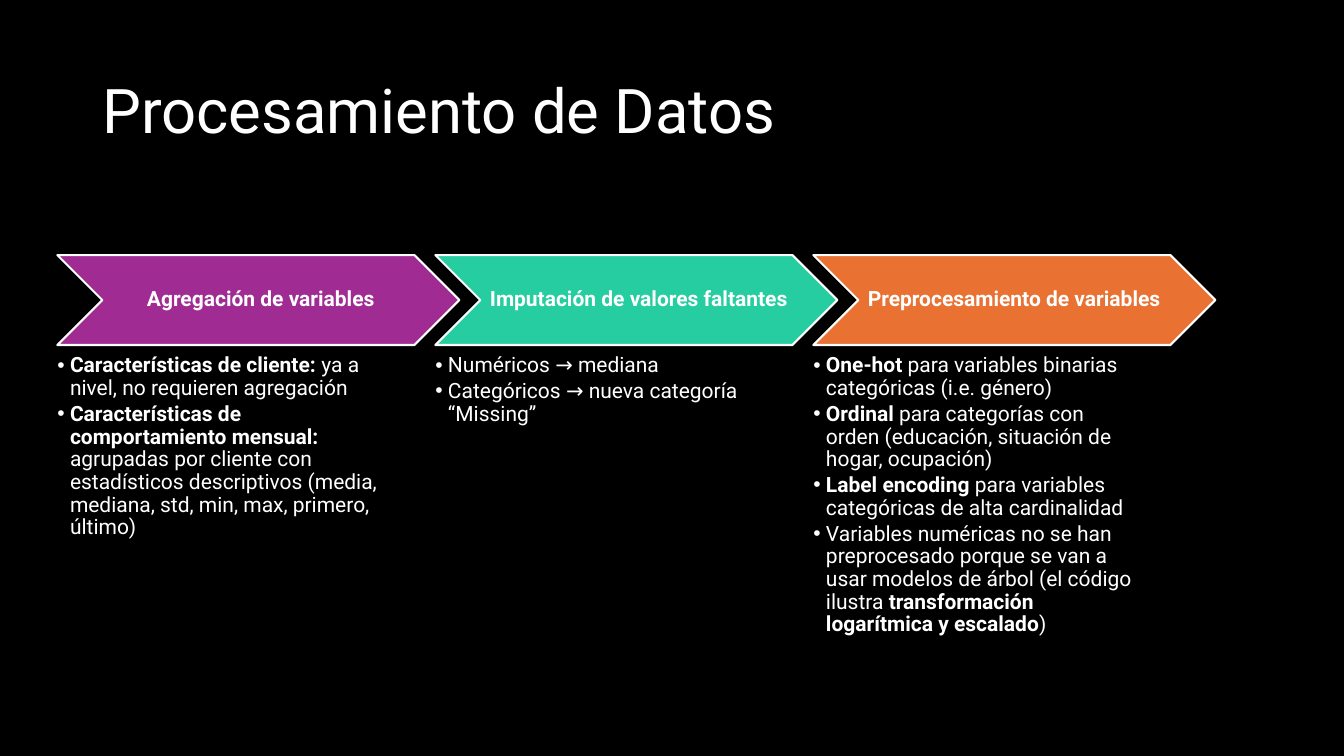
from dataclasses import dataclass

from lxml.etree import SubElement
from pptx import Presentation
from pptx.dml.color import RGBColor
from pptx.enum.shapes import MSO_SHAPE
from pptx.enum.text import MSO_ANCHOR, MSO_AUTO_SIZE, PP_ALIGN
from pptx.oxml.ns import qn
from pptx.util import Pt

BLACK = RGBColor(0x00, 0x00, 0x00)
WHITE = RGBColor(0xFF, 0xFF, 0xFF)
PURPLE = RGBColor(0xA0, 0x2B, 0x93)
GREEN = RGBColor(0x26, 0xCD, 0xA0)
ORANGE = RGBColor(0xE9, 0x71, 0x32)

FONT = "Roboto"
TEXT_SIZE = 15
COMPARISON_LAYOUT = 4
FIRST_LEFT, STEP_PITCH = 41, 270
CHEVRON_TOP, CHEVRON_WIDTH, CHEVRON_HEIGHT = 182.2, 287.2, 64.2
LIST_TOP, LIST_WIDTH, LIST_HEIGHT = 253.4, 229.8, 207.4
BULLET_INDENT = 9


@dataclass(frozen=True)
class Span:
    text: str
    bold: bool = False


@dataclass(frozen=True)
class Step:
    heading: str
    color: RGBColor
    items: list[list[Span]]


STEPS = [
    Step("Agregación de variables", PURPLE, [
        [Span("Características de cliente:", True),
         Span(" ya a nivel, no requieren agregación")],
        [Span("Características de comportamiento mensual:", True),
         Span(" agrupadas por cliente con estadísticos descriptivos "
              "(media, mediana, std, min, max, primero, último)")],
    ]),
    Step("Imputación de valores faltantes", GREEN, [
        [Span("Numéricos → mediana")],
        [Span("Categóricos → nueva categoría “Missing”")],
    ]),
    Step("Preprocesamiento de variables ", ORANGE, [
        [Span("One-hot ", True),
         Span("para variables binarias categóricas (i.e. género)")],
        [Span("Ordinal ", True),
         Span("para categorías con orden (educación, situación de hogar, ocupación)")],
        [Span("Label encoding ", True),
         Span("para variables categóricas de alta cardinalidad")],
        [Span("Variables numéricas no se han preprocesado porque se van a usar "
              "modelos de árbol (el código ilustra "),
         Span("transformación logarítmica y escalado", True),
         Span(")")],
    ]),
]


def place(shape, left: float, top: float, width: float, height: float) -> None:
    shape.left, shape.top = Pt(left), Pt(top)
    shape.width, shape.height = Pt(width), Pt(height)


def set_frame(frame, anchor: MSO_ANCHOR, margins: tuple[float, float, float, float]) -> None:
    """Set anchor and margins (left, top, right, bottom), with wrapping and a fixed size."""
    frame.word_wrap = True
    frame.auto_size = MSO_AUTO_SIZE.NONE
    frame.vertical_anchor = anchor
    (frame.margin_left, frame.margin_top,
     frame.margin_right, frame.margin_bottom) = map(Pt, margins)


def write(para, spans: list[Span], *, size: float = TEXT_SIZE,
          align: PP_ALIGN = PP_ALIGN.LEFT, space_after: float = 0) -> None:
    para.alignment = align
    para.line_spacing = 0.9
    para.space_before = Pt(0)
    para.space_after = Pt(space_after)
    for span in spans:
        run = para.add_run()
        run.text = span.text
        run.font.name = FONT
        run.font.size = Pt(size)
        run.font.bold = span.bold
        run.font.color.rgb = WHITE


def add_bullet(para) -> None:
    properties = para._p.get_or_add_pPr()
    properties.set("marL", str(Pt(BULLET_INDENT)))
    properties.set("indent", str(-Pt(BULLET_INDENT)))
    SubElement(properties, qn("a:buFont")).set("typeface", "Arial")
    SubElement(properties, qn("a:buChar")).set("char", "•")


def add_chevron(page, step: Step, left: float) -> None:
    chevron = page.shapes.add_shape(
        MSO_SHAPE.CHEVRON, Pt(left), Pt(CHEVRON_TOP), Pt(CHEVRON_WIDTH), Pt(CHEVRON_HEIGHT))
    chevron.shadow.inherit = False
    chevron.fill.solid()
    chevron.fill.fore_color.rgb = step.color
    chevron.line.color.rgb = WHITE
    chevron.line.width = Pt(1.5)
    set_frame(chevron.text_frame, MSO_ANCHOR.MIDDLE, (5, 1.5, 1.5, 1.5))
    write(chevron.text_frame.paragraphs[0], [Span(step.heading, True)], align=PP_ALIGN.CENTER)


def fill_list(body, step: Step, left: float) -> None:
    place(body, left, LIST_TOP, LIST_WIDTH, LIST_HEIGHT)
    frame = body.text_frame
    set_frame(frame, MSO_ANCHOR.TOP, (0, 0, 0, 0))
    for index, spans in enumerate(step.items):
        para = frame.add_paragraph() if index else frame.paragraphs[0]
        para.level = 1
        write(para, spans, space_after=0.15 * TEXT_SIZE)
        add_bullet(para)


def main() -> None:
    deck = Presentation()
    deck.slide_width, deck.slide_height = Pt(960), Pt(540)
    page = deck.slides.add_slide(deck.slide_layouts[COMPARISON_LAYOUT])
    page.background.fill.solid()
    page.background.fill.fore_color.rgb = BLACK

    title, *bodies = page.placeholders
    place(title, 66, 28.8, 828, 104.4)
    set_frame(title.text_frame, MSO_ANCHOR.MIDDLE, (7.2, 3.6, 7.2, 3.6))
    write(title.text_frame.paragraphs[0], [Span("Procesamiento de Datos")], size=44)

    for index, (step, body) in enumerate(zip(STEPS, bodies)):
        left = FIRST_LEFT + index * STEP_PITCH
        add_chevron(page, step, left)
        fill_list(body, step, left)
    for unused in bodies[len(STEPS):]:
        unused.element.getparent().remove(unused.element)

    deck.save("out.pptx")


if __name__ == "__main__":
    main()
